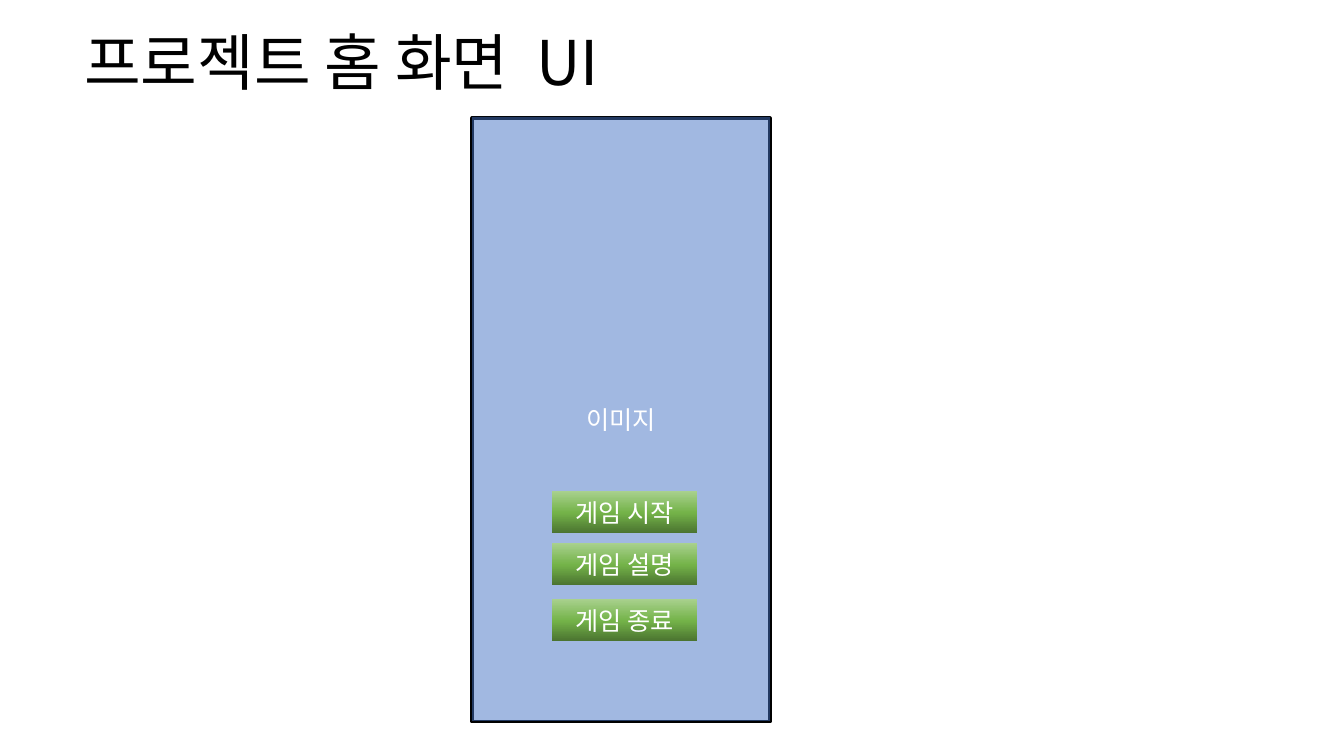
from copy import deepcopy

from lxml.etree import SubElement
from pptx import Presentation
from pptx.dml.color import RGBColor
from pptx.enum.shapes import MSO_SHAPE as Preset
from pptx.enum.text import MSO_ANCHOR as Anchor, MSO_AUTO_SIZE as AutoSize, PP_ALIGN as Align
from pptx.oxml.ns import qn
from pptx.util import Emu, Pt

PX = 914400 / 100.8
FONT = "Noto Sans CJK KR"
COLORS = {
    "black": "000000",
    "white": "FFFFFF",
    "screen": "4472C4",
    "button_dark": "4B7430",
    "button_mid": "74B349",
    "button_light": "A9D18E",
}
BUTTON_STOPS = [(0, "button_dark"), (0.48, "button_mid"), (1, "button_light")]
BUTTONS = [("게임 시작", 374), ("게임 설명", 426), ("게임 종료", 482)]


def px(length):
    """Turn whole pixels into EMU."""
    return Emu(round(length * PX))


def color(name):
    """Look up a colour by name."""
    return RGBColor.from_string(COLORS[name])


def format_paragraph(paragraph, size, color_name, align):
    """Set the Latin and East Asian font, size, colour and alignment."""
    paragraph.alignment = align
    font = paragraph.font
    font.name, font.size = FONT, Pt(size)
    font.color.rgb = color(color_name)
    properties = paragraph._p.pPr.find(qn("a:defRPr"))
    SubElement(properties, qn("a:ea")).set("typeface", FONT)


def add_box(slide, left, top, width, height, text=""):
    """Add a plain rectangle with centred white text."""
    shape = slide.shapes.add_shape(Preset.RECTANGLE, px(left), px(top), px(width), px(height))
    shape.shadow.inherit = False
    shape.line.fill.background()
    if text:
        frame = shape.text_frame
        frame.text, frame.vertical_anchor = text, Anchor.MIDDLE
        format_paragraph(frame.paragraphs[0], 18, "white", Align.CENTER)
    return shape


def fill_solid(shape, color_name, opacity=100):
    """Fill a shape with one colour at a given opacity in percent."""
    shape.fill.solid()
    shape.fill.fore_color.rgb = color(color_name)
    if opacity < 100:
        rgb = shape._element.spPr.find(qn("a:solidFill"))[0]
        SubElement(rgb, qn("a:alpha")).set("val", str(opacity * 1000))


def fill_button(shape):
    """Fill a button with a green gradient, dark at the bottom."""
    shape.fill.gradient()
    shape.fill.gradient_angle = 90
    stops = shape._element.spPr.find(qn("a:gradFill")).find(qn("a:gsLst"))
    stops.append(deepcopy(stops[0]))
    for stop, (position, name) in zip(shape.fill.gradient_stops, BUTTON_STOPS):
        stop.position = position
        stop.color.rgb = color(name)


def add_title(slide, left, top, width, height):
    """Place the title, with a wider gap before its last word."""
    title = slide.shapes.title
    title.left, title.top, title.width, title.height = map(px, (left, top, width, height))
    frame = title.text_frame
    frame.vertical_anchor, frame.auto_size = Anchor.MIDDLE, AutoSize.NONE
    paragraph = frame.paragraphs[0]
    paragraph.line_spacing = 0.9
    format_paragraph(paragraph, 44, "black", Align.LEFT)
    for text, spacing in [("프로젝트 홈 화면", 0), (" ", 1000), ("UI", 0)]:
        run = paragraph.add_run()
        run.text = text
        if spacing:
            run._r.get_or_add_rPr().set("spc", str(spacing))


def add_home_screen(slide, left, top, width, height):
    """Draw the phone screen with its image area and menu buttons."""
    border = add_box(slide, left, top + 1, width, height)
    fill_solid(border, "white")
    border.line.color.rgb = color("black")
    border.line.width = Pt(2.25)
    fill_solid(add_box(slide, left, top, width, height, "이미지"), "screen", 50)
    for label, offset in BUTTONS:
        fill_button(add_box(slide, left + 80, top + offset, 145, 42, label))


def main():
    """Build and save the slide."""
    presentation = Presentation()
    presentation.slide_width, presentation.slide_height = px(1344), px(756)
    slide = presentation.slides.add_slide(presentation.slide_layouts[5])
    add_title(slide, 74, -7, 1159, 146)
    add_home_screen(slide, 472, 117, 298, 604)
    presentation.save("out.pptx")


if __name__ == "__main__":
    main()
